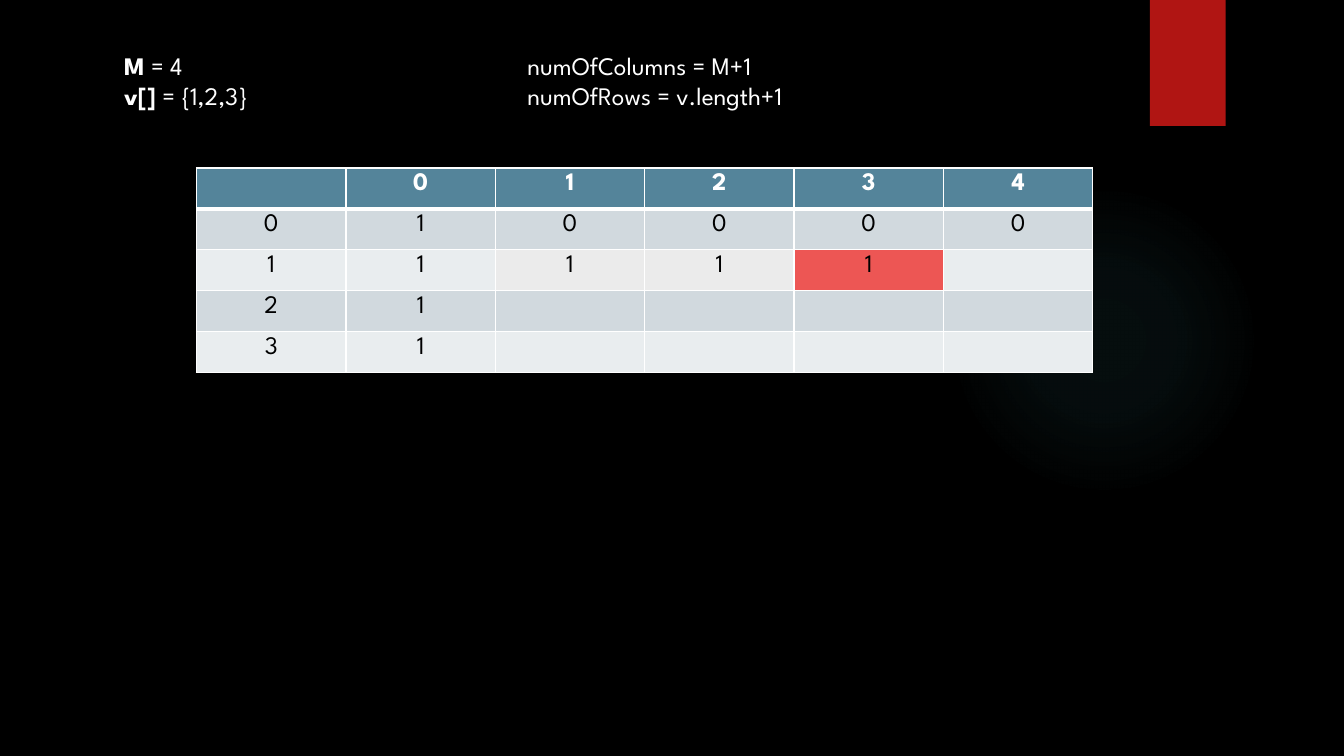
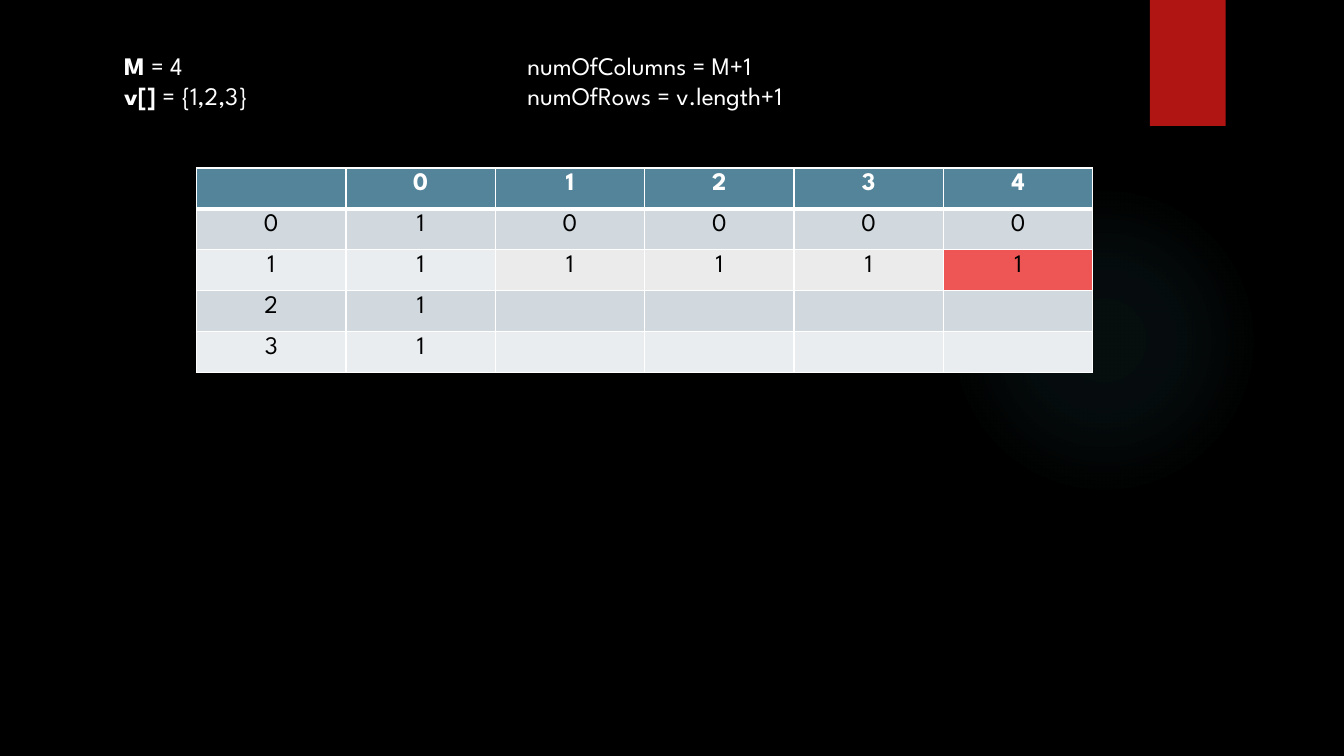
"""Build two slides that fill a coin change table cell by cell."""
from pptx import Presentation, oxml, util as u
from pptx.dml.color import RGBColor
from pptx.enum import shapes, text
from pptx.oxml import ns

UNIT = u.Inches(1) // 12
COLS, ROWS = 160, 90
FACE = "League Spartan"
BLACK = RGBColor(0x00, 0x00, 0x00)
WHITE = RGBColor(0xFF, 0xFF, 0xFF)
RED = RGBColor(0xB0, 0x15, 0x13)
TEAL = RGBColor(0x50, 0xB9, 0xC1)
BLUE = RGBColor(0x54, 0x84, 0x9A)
DARK = RGBColor(0xD1, 0xD9, 0xDE)
LIGHT = RGBColor(0xE9, 0xED, 0xEF)
GREY = RGBColor(0xEB, 0xEB, 0xEB)
CORAL = RGBColor(0xED, 0x56, 0x54)
BODY = {"name": FACE, "size": u.Pt(18), "bold": False}
STRONG = {**BODY, "bold": True}

FACTS = [("M", " = 4\tnumOfColumns = M+1"),
         ("v[]", " = {1,2,3}\tnumOfRows = v.length+1")]
HEAD = ["", "0", "1", "2", "3", "4"]
FIRST = ["0", "1", "0", "0", "0", "0"]


def grid(*marks):
    return [u.Emu(round(mark * UNIT)) for mark in marks]


def node(body):
    return oxml.parse_xml(body.replace(">", f" {ns.nsdecls('a')}>", 1))


class Deck:
    def __init__(self):
        self.show = Presentation()
        self.show.slide_width, self.show.slide_height = grid(COLS, ROWS)
        self.base = self.show.slide_layouts[6]
        back = self.show.slide_master.background.fill
        back.solid()
        back.fore_color.rgb = BLACK
        self.slide = None

    def page(self):
        self.slide = self.show.slides.add_slide(self.base)

    def style(self, run, form, tint):
        for key, value in form.items():
            setattr(run.font, key, value)
        run.font.color.rgb = tint

    def shape(self, kind, place, tint):
        item = self.slide.shapes.add_shape(kind, *grid(*place))
        item.shadow.inherit = False
        item.fill.solid()
        item.fill.fore_color.rgb = tint
        item.line.fill.background()
        return item

    def glow(self, place, tint, stops):
        item = self.shape(shapes.MSO_SHAPE.OVAL, place, tint)
        marks = "".join(
            f'<a:gs pos="{spot * 1000}"><a:srgbClr val="{tint}">'
            f'<a:alpha val="{alpha * 1000}"/></a:srgbClr></a:gs>'
            for spot, alpha in stops)
        fade = node(
            f'<a:gradFill><a:gsLst>{marks}</a:gsLst><a:path path="circle">'
            '<a:fillToRect l="50000" t="50000" r="50000" b="50000"/>'
            '</a:path></a:gradFill>')
        frame = item.element.spPr
        frame.replace(frame.find(ns.qn("a:solidFill")), fade)
        return item

    def band(self, place, tint):
        item = self.shape(shapes.MSO_SHAPE.RECTANGLE, place, tint)
        item.element.spPr.find(ns.qn("a:effectLst")).append(node(
            f'<a:outerShdw blurRad="{u.Pt(3)}" dist="{u.Pt(2)}" dir="5400000">'
            f'<a:srgbClr val="{BLACK}"><a:alpha val="45000"/></a:srgbClr>'
            '</a:outerShdw>'))
        return item

    def share(self, *items):
        for mark, item in enumerate(items, 20):
            item.element.nvSpPr.cNvPr.set("id", str(mark))
            self.base.shapes.element.append(item.element)

    def facts(self, place, lines, stop):
        frame = self.slide.shapes.add_textbox(*grid(*place)).text_frame
        frame.word_wrap = False
        frame.auto_size = text.MSO_AUTO_SIZE.SHAPE_TO_FIT_TEXT
        for count, (name, value) in enumerate(lines):
            para = frame.add_paragraph() if count else frame.paragraphs[0]
            for part, form in ((name, STRONG), (value, BODY)):
                run = para.add_run()
                run.text = part
                self.style(run, form, WHITE)
            para._p.get_or_add_pPr().append(node(
                f'<a:tabLst><a:tab pos="{grid(stop)[0]}" algn="l"/></a:tabLst>'))

    def edge(self, cell, row):
        widths = {"L": 1, "R": 1, "T": 3 if row == 1 else 1,
                  "B": 1 if row else 3}
        frame = cell._tc.get_or_add_tcPr()
        for spot, (side, width) in enumerate(widths.items()):
            frame.insert(spot, node(
                f'<a:ln{side} w="{u.Pt(width)}"><a:solidFill>'
                f'<a:srgbClr val="{WHITE}"/></a:solidFill></a:ln{side}>'))

    def table(self, place, data, marks):
        size = len(data), len(data[0])
        table = self.slide.shapes.add_table(*size, *grid(*place)).table
        for row, line in enumerate(data):
            plain = (LIGHT if row % 2 == 0 else DARK) if row else BLUE
            for col, value in enumerate(line):
                cell = table.cell(row, col)
                cell.fill.solid()
                cell.fill.fore_color.rgb = marks.get((row, col), plain)
                self.edge(cell, row)
                para = cell.text_frame.paragraphs[0]
                para.alignment = text.PP_ALIGN.CENTER
                if value:
                    run = para.add_run()
                    run.text = value
                    self.style(run, BODY if row else STRONG,
                               BLACK if row else WHITE)

    def step(self, last):
        ones = ["1"] * (last + 1)
        data = [HEAD, FIRST] + [
            [coin] + (ones if coin == "1" else ["1"]) for coin in "123"]
        data = [line + [""] * (len(HEAD) - len(line)) for line in data]
        marks = {(2, col): GREY for col in range(2, last + 1)}
        marks[2, last + 1] = CORAL
        self.facts((13.6, 5.4, 87.5, 8.5), FACTS, 48)
        self.table((23.4, 20, 106.7, 24.4), data, marks)


def main():
    deck = Deck()
    for last in (3, 4):
        deck.page()
        if last == 3:
            deck.share(
                deck.glow((112.9, 22, 37, 37), TEAL, [(0, 7), (36, 6), (69, 0)]),
                deck.band((136.9, 0, 9, 15), RED))
        deck.step(last)
    deck.show.save("out.pptx")


if __name__ == "__main__":
    main()
